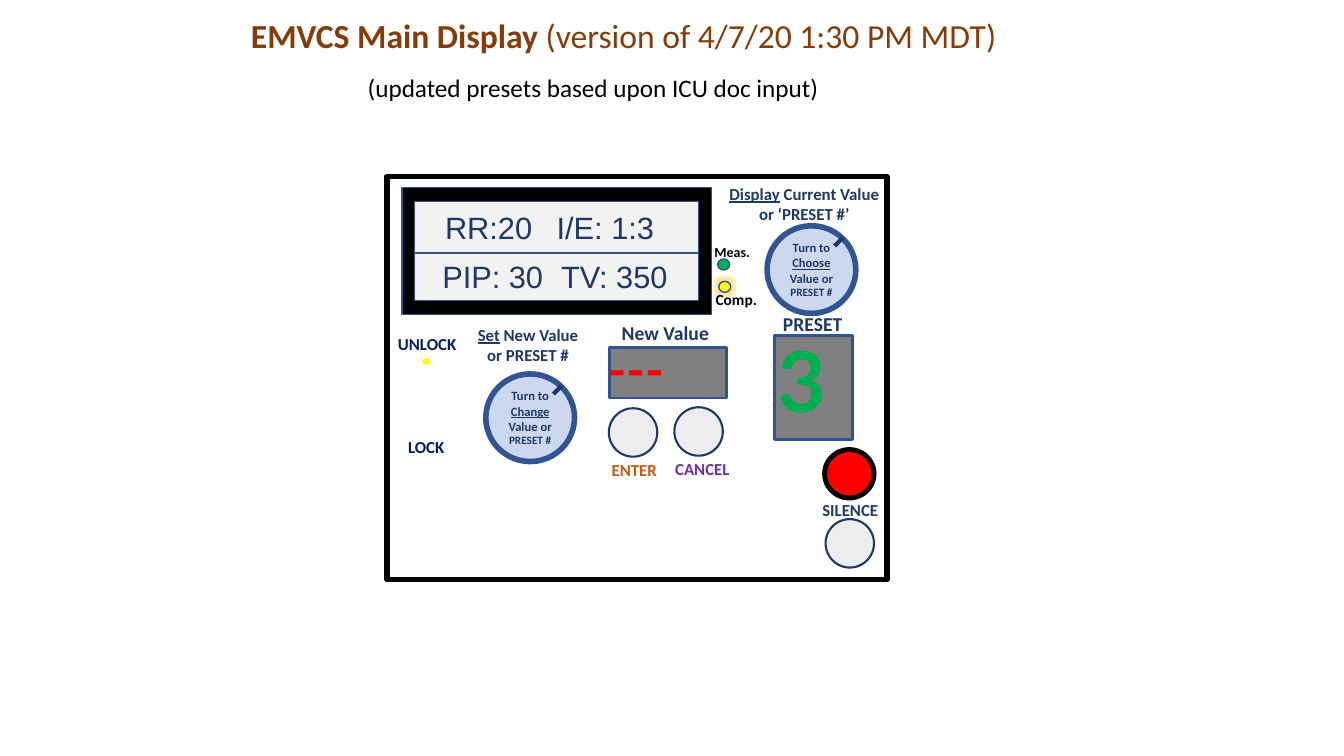
"""Build the EMVCS main display slide."""
from dataclasses import dataclass
from typing import Any, Optional

import lxml.etree
import pptx
import pptx.dml.color
import pptx.enum.shapes
import pptx.enum.text
import pptx.oxml
import pptx.oxml.ns
import pptx.util

Pt = pptx.util.Pt
qn = pptx.oxml.ns.qn
KIND = pptx.enum.shapes.MSO_SHAPE
ALIGN = pptx.enum.text.PP_ALIGN
ANCHOR = pptx.enum.text.MSO_ANCHOR
FIT = pptx.enum.text.MSO_AUTO_SIZE

HEX = {
    "black": "000000", "brown": "843C0B", "navy": "203864", "ink": "002060",
    "blue": "4472C4", "edge": "325491", "grey": "808080", "pale": "F2F2F2",
    "key": "EDEDED", "red": "FF0000", "green": "00B050", "yellow": "FFFF00",
    "rust": "C55A11", "plum": "7030A0", "glow": "FFC000",
}

Box = tuple[float, float, float, float]


@dataclass
class Run:
    """A stretch of text with one format."""
    text: str
    size: float = 12
    color: str = "navy"
    bold: bool = True
    under: bool = False
    font: str = "Calibri"


@dataclass
class Label:
    """A text box of one or more lines."""
    box: Box
    lines: list[list[Run]]
    wrap: bool = False


@dataclass
class Form:
    """A preset shape with fill and line."""
    kind: Any
    box: Box
    fill: Optional[str]
    line: Optional[str] = "edge"
    width: float = 1
    glow: bool = False


@dataclass
class Row:
    """A row of the screen: two values set apart by a tab."""
    top: float
    high: float
    inset: float
    tab: float
    text: str


def paint(name: str) -> pptx.dml.color.RGBColor:
    """Return a named colour."""
    return pptx.dml.color.RGBColor.from_string(HEX[name])


def apply(target: Any, style: dict[str, Any]) -> None:
    """Set each value of a format dict on the target."""
    for key, value in style.items():
        setattr(target, key, value)


def write(frame: Any, lines: list[list[Run]], align: Any) -> None:
    """Fill a text frame with lines of runs."""
    for spot, runs in enumerate(lines):
        para = frame.add_paragraph() if spot else frame.paragraphs[0]
        para.alignment = align
        for item in runs:
            run = para.add_run()
            run.text = item.text
            apply(run.font, {"name": item.font, "size": Pt(item.size),
                             "bold": item.bold, "underline": item.under})
            run.font.color.rgb = paint(item.color)


def place(shapes: Any, label: Label) -> None:
    """Add a text box."""
    frame = shapes.add_textbox(*map(Pt, label.box)).text_frame
    apply(frame, {"word_wrap": label.wrap, "auto_size": FIT.SHAPE_TO_FIT_TEXT})
    write(frame, label.lines, ALIGN.CENTER if label.wrap else ALIGN.LEFT)


def fade(node: Any, share: int) -> None:
    """Give a colour node an alpha in percent."""
    lxml.etree.SubElement(node, qn("a:alpha")).set("val", str(share * 1000))


def draw(shapes: Any, form: Form) -> Any:
    """Add a preset shape."""
    shape = shapes.add_shape(form.kind, *map(Pt, form.box))
    shape.shadow.inherit = False
    if form.fill:
        shape.fill.solid()
        shape.fill.fore_color.rgb = paint(form.fill)
    else:
        shape.fill.background()
    if form.line:
        shape.line.color.rgb = paint(form.line)
        shape.line.width = Pt(form.width)
    else:
        shape.line.fill.background()
    if form.glow:
        effects = shape.element.spPr.find(qn("a:effectLst"))
        halo = lxml.etree.SubElement(effects, qn("a:glow"))
        halo.set("rad", str(Pt(5)))
        tint = lxml.etree.SubElement(halo, qn("a:srgbClr"))
        tint.set("val", HEX["glow"])
        fade(tint, 40)
    return shape


def dial(shapes: Any, left: float, top: float, verb: str) -> None:
    """Add a turning knob with its pointer."""
    knob = draw(shapes, Form(KIND.OVAL, (left, top, 63.4, 62.6), "blue", "edge", 4))
    fade(knob.element.spPr.find(qn("a:solidFill"))[0], 27)
    apply(knob.text_frame, {"word_wrap": True, "vertical_anchor": ANCHOR.MIDDLE,
                            "margin_left": Pt(6.5), "margin_right": Pt(6.5)})
    write(knob.text_frame, [[Run("Turn to", 9)], [Run(verb, 9, under=True)],
                            [Run("Value or ", 9), Run("PRESET #", 8)]], ALIGN.CENTER)
    ends = (left + 48.3, top + 14.4, left + 54, top + 8.6)
    mark = shapes.add_connector(pptx.enum.shapes.MSO_CONNECTOR.STRAIGHT, *map(Pt, ends))
    mark.line.color.rgb = paint("navy")
    mark.line.width = Pt(3)
    lxml.etree.SubElement(mark.element.spPr, qn("a:effectLst"))


def screen(shapes: Any, row: Row) -> None:
    """Add one row of the screen."""
    cell = draw(shapes, Form(KIND.RECTANGLE, (295.9, row.top, 203, row.high), "pale"))
    frame = cell.text_frame
    apply(frame, {"margin_left": Pt(row.inset), "margin_right": Pt(0),
                  "word_wrap": True, "vertical_anchor": ANCHOR.MIDDLE})
    props = frame.paragraphs[0]._p.get_or_add_pPr()
    stops = lxml.etree.SubElement(props, qn("a:tabLst"))
    stop = lxml.etree.SubElement(stops, qn("a:tab"))
    stop.set("pos", str(Pt(row.tab)))
    stop.set("algn", "l")
    write(frame, [[Run(row.text, 22, bold=False, font="Arial")]], ALIGN.LEFT)


FORMS = [
    Form(KIND.RECTANGLE, (276.5, 126, 357.1, 288), None, "black", 4),
    Form(KIND.RECTANGLE, (287.3, 133.9, 221, 90.7), "black"),
    Form(KIND.RECTANGLE, (553, 239.8, 56.2, 74.2), "grey", "edge", 2),
    Form(KIND.RECTANGLE, (435.6, 248.4, 83.5, 36), "grey", "edge", 2),
    Form(KIND.OVAL, (301.7, 255.6, 5.8, 5), "yellow", None),
    Form(KIND.OVAL, (512.6, 185, 8.6, 7.9), "green"),
    Form(KIND.OVAL, (513.4, 200.9, 8.6, 7.9), "yellow", glow=True),
    Form(KIND.OVAL, (589, 321.1, 35.3, 34.6), "red", "black", 3.5),
] + [Form(KIND.OVAL, (left, top, 34.6, 34.6), "key", "navy", 1.5)
     for left, top in ((434.9, 291.6), (481.7, 290.9), (589.7, 370.8))]

ROWS = [Row(144, 36.7, 22, 79.7, "RR:20\tI/E: 1:3"),
        Row(180.7, 33.8, 20, 84.8, "PIP: 30\tTV: 350")]

LABELS = [
    Label((512.6, 127.4, 123.8, 36), [[Run("Display", under=True), Run(" Current Value")],
                                      [Run("or ‘PRESET #’")]], True),
    Label((332.6, 228.2, 89.3, 36), [[Run("Set", under=True), Run(" New Value")],
                                     [Run("or PRESET #")]], True),
    Label((552.2, 219.6, 57.6, 24.5), [[Run("PRESET", 14)]]),
    Label((437, 225.4, 77, 24.5), [[Run("New Value", 14)]]),
    Label((548.6, 231.1, 64.1, 79.9), [[Run("3", 60, "green", font="Lato")]]),
    Label((427, 238.3, 103.7, 51.1), [[Run("---", 36, "red", font="Lato")]]),
    Label((580.3, 353.5, 54.7, 21.6), [[Run("SILENCE")]]),
    Label((277.2, 234.7, 56.9, 21.6), [[Run("UNLOCK", color="ink")]]),
    Label((284.4, 308.2, 41, 21.6), [[Run("LOCK", color="ink")]]),
    Label((429.8, 324.7, 47.5, 21.6), [[Run("ENTER", color="rust")]]),
    Label((475.2, 324, 54, 21.6), [[Run("CANCEL", color="plum")]]),
    Label((503.3, 170.6, 40.3, 19.4), [[Run("Meas.", 10, "black")]]),
    Label((504, 203.8, 44.6, 20.9), [[Run("Comp.", 11, "black")]]),
]


def main() -> None:
    """Build and save the slide."""
    deck = pptx.Presentation()
    apply(deck, {"slide_width": Pt(960), "slide_height": Pt(540)})
    slide = deck.slides.add_slide(deck.slide_layouts[5])
    title = slide.shapes.title
    apply(title, {"left": Pt(172), "top": Pt(7.2), "width": Pt(551.5), "height": Pt(36)})
    apply(title.text_frame, {"word_wrap": False, "auto_size": FIT.SHAPE_TO_FIT_TEXT,
                             "vertical_anchor": ANCHOR.TOP})
    write(title.text_frame, [[Run("EMVCS Main Display ", 24, "brown"),
                              Run("(version of 4/7/20 1:30 PM MDT)", 24, "brown", False)]],
          ALIGN.LEFT)
    place(slide.shapes, Label((255.6, 48.2, 340.6, 28.8), [[
        Run("(updated presets based upon ICU doc input)", 18, "black", False)]]))
    panel = slide.shapes.add_group_shape().shapes
    for form in FORMS:
        draw(panel, form)
    for row in ROWS:
        screen(panel, row)
    dial(panel, 547.9, 161.3, "Choose")
    dial(panel, 347, 267.1, "Change")
    for label in LABELS:
        place(panel, label)
    deck.save("out.pptx")


if __name__ == "__main__":
    main()
